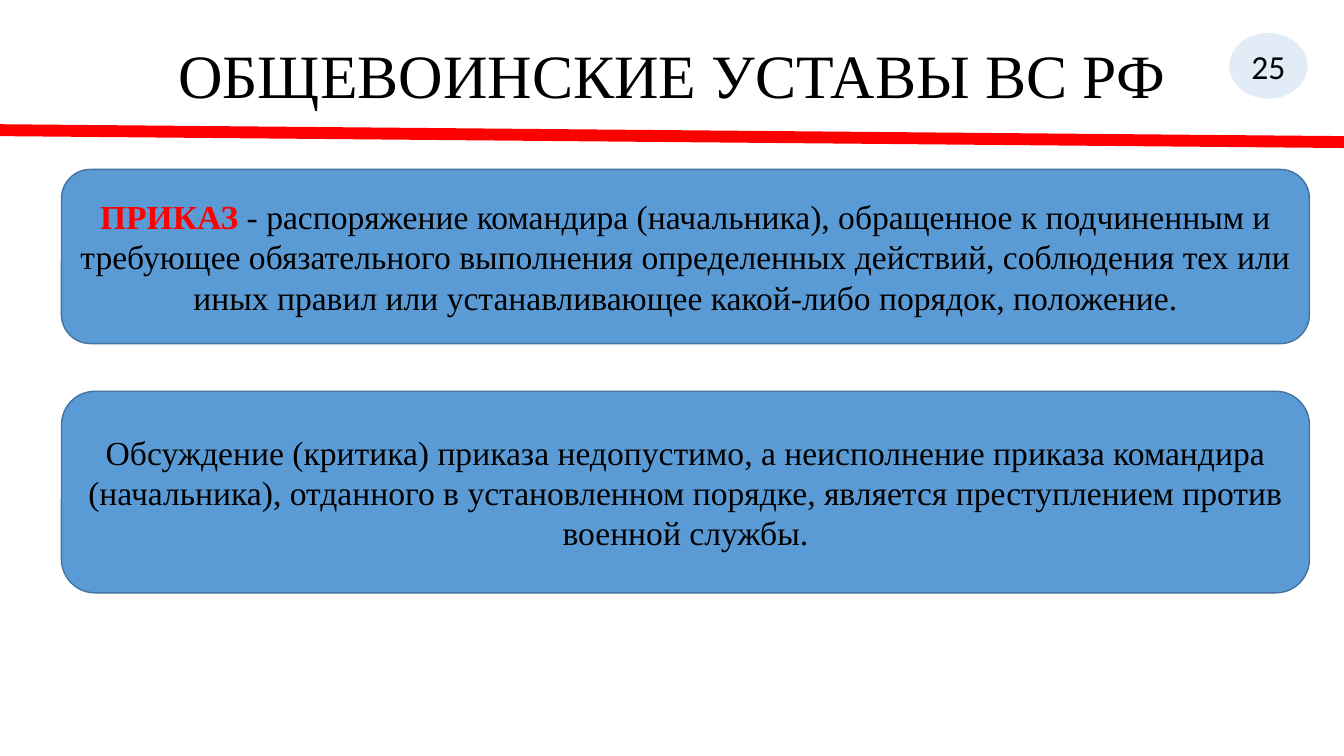
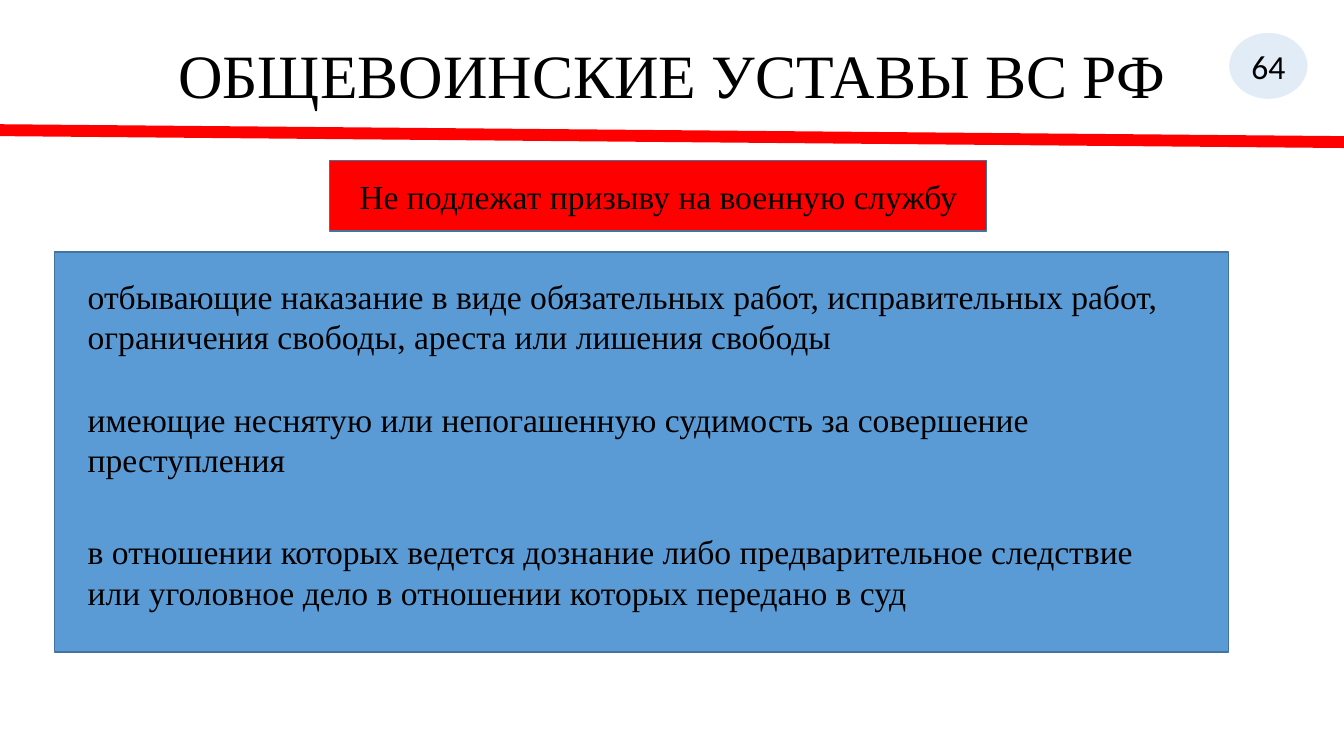
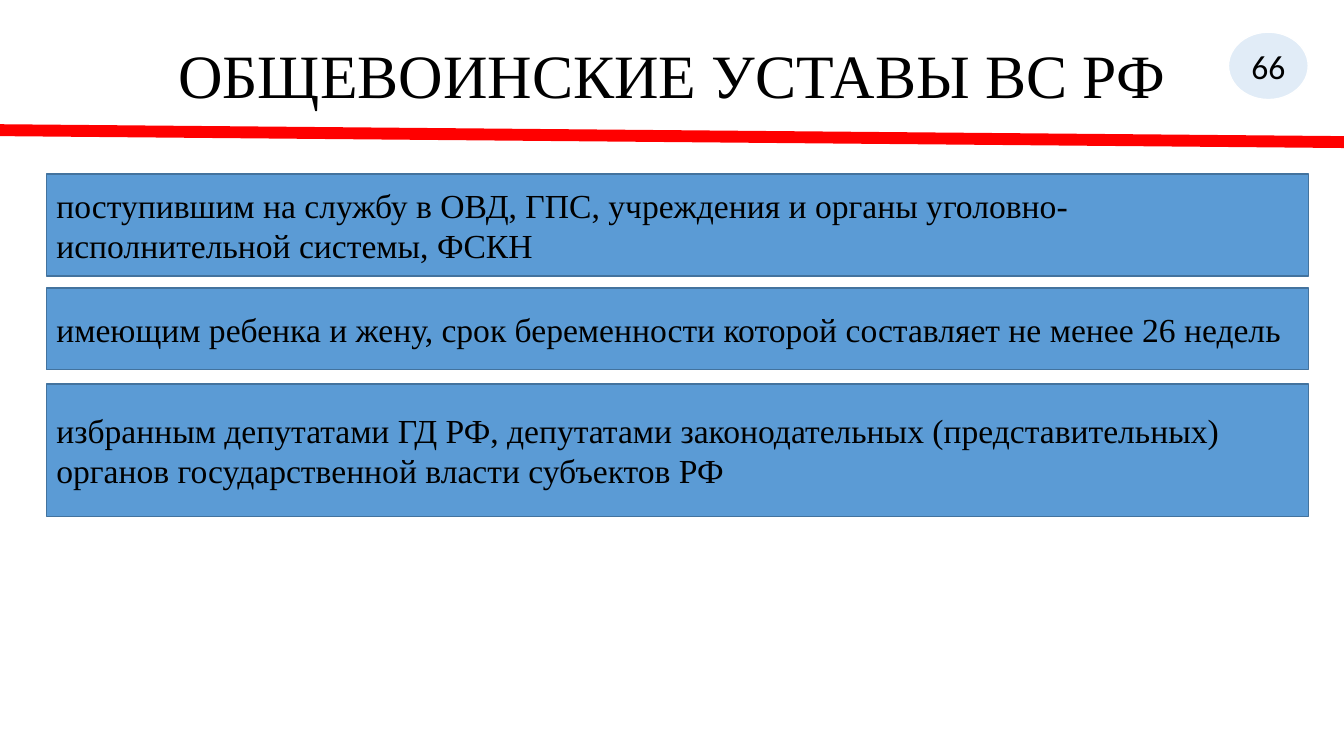
from dataclasses import dataclass

from lxml import etree
from pptx import Presentation
from pptx.dml.color import RGBColor
from pptx.enum import shapes, text
from pptx.oxml import ns
from pptx.util import Cm, Pt


@dataclass(frozen=True)
class Theme:
    blue: str = "5B9BD5"
    outline: str = "43739E"
    red: str = "FF0000"
    white: str = "FFFFFF"
    black: str = "000000"
    serif: str = "Times New Roman"
    sans: str = "Calibri"
    title_size: int = 44
    body_size: int = 24
    outline_width: float = 1
    rule_width: float = 8.5
    badge_opacity: int = 18


THEME = Theme()
SLIDE_WIDTH, SLIDE_HEIGHT = 33.87, 19.05
TITLE = "ОБЩЕВОИНСКИЕ УСТАВЫ ВС РФ"
CENTER, LEFT = text.PP_ALIGN.CENTER, text.PP_ALIGN.LEFT
MIDDLE, TOP = text.MSO_ANCHOR.MIDDLE, text.MSO_ANCHOR.TOP
RECT = shapes.MSO_SHAPE.RECTANGLE
ROUNDED = shapes.MSO_SHAPE.ROUNDED_RECTANGLE


def color(value):
    return RGBColor.from_string(value)


def write(shape, wording, align=LEFT, anchor=TOP, size=THEME.body_size,
          font=THEME.serif, lead=""):
    """Put one paragraph in a shape; lead is an opening word in bold red."""
    frame = shape.text_frame
    frame.word_wrap = True
    frame.vertical_anchor = anchor
    paragraph = frame.paragraphs[0]
    paragraph.alignment = align
    for part in filter(None, (lead, wording)):
        run = paragraph.add_run()
        run.text = part
        run.font.name = font
        run.font.size = Pt(size)
        run.font.bold = part == lead
        run.font.color.rgb = color(THEME.red if part == lead else THEME.black)
    return paragraph


def add_label(slide, box, wording, **style):
    label = slide.shapes.add_textbox(*map(Cm, box))
    return write(label, wording, **style)


def add_panel(slide, box, kind=RECT, fill=THEME.blue, outline=THEME.outline):
    panel = slide.shapes.add_shape(kind, *map(Cm, box))
    panel.shadow.inherit = False
    panel.fill.solid()
    panel.fill.fore_color.rgb = color(fill)
    panel.line.color.rgb = color(outline)
    panel.line.width = Pt(THEME.outline_width)
    return panel


def add_card(slide, box, wording, kind=RECT, fill=THEME.blue, **style):
    write(add_panel(slide, box, kind, fill), wording, anchor=MIDDLE, **style)


def add_rule(slide):
    rule = slide.shapes.add_connector(
        shapes.MSO_CONNECTOR.STRAIGHT,
        Cm(0), Cm(3.28), Cm(SLIDE_WIDTH), Cm(3.58))
    rule.line.color.rgb = color(THEME.red)
    rule.line.width = Pt(THEME.rule_width)
    etree.SubElement(rule._element.spPr, ns.qn("a:effectLst"))


def add_number_badge(slide, number):
    badge = add_panel(slide, (30.96, 0.81, 2.01, 1.7),
                      shapes.MSO_SHAPE.OVAL, outline=THEME.white)
    tint = badge._element.spPr.find(
        f"{ns.qn('a:solidFill')}/{ns.qn('a:srgbClr')}")
    etree.SubElement(tint, ns.qn("a:alpha"),
                     val=str(THEME.badge_opacity * 1000))
    write(badge, str(number), CENTER, MIDDLE, font=THEME.sans)
    badge.text_frame.word_wrap = False


def start_slide(deck, number):
    """Add a slide with the title, red rule and number badge."""
    slide = deck.slides.add_slide(deck.slide_layouts[6])
    title = add_label(slide, (2.34, 1.02, 29.2, 1.92), TITLE, align=CENTER,
                      anchor=MIDDLE, size=THEME.title_size)
    title.line_spacing = 0.9
    add_rule(slide)
    add_number_badge(slide, number)
    return slide


def build_order_slide(deck):
    slide = start_slide(deck, 25)
    cards = (
        (4.27, 4.39, "ПРИКАЗ ",
         "- распоряжение командира (начальника), обращенное к подчиненным и "
         "требующее обязательного выполнения определенных действий, "
         "соблюдения тех или иных правил или устанавливающее какой-либо "
         "порядок, положение."),
        (9.86, 5.08, "",
         "Обсуждение (критика) приказа недопустимо, а неисполнение приказа "
         "командира (начальника), отданного в установленном порядке, "
         "является преступлением против военной службы."),
    )
    for top, height, lead, wording in cards:
        add_card(slide, (1.55, top, 31.45, height), wording, ROUNDED,
                 align=CENTER, lead=lead)


def build_exclusion_slide(deck):
    slide = start_slide(deck, 64)
    add_card(slide, (8.31, 4.04, 16.56, 1.78),
             "Не подлежат призыву на военную службу",
             fill=THEME.red, align=CENTER)
    add_panel(slide, (1.37, 6.35, 29.59, 10.08))
    grounds = (
        (6.83, "отбывающие наказание в виде обязательных работ, "
               "исправительных работ, ограничения свободы, ареста или "
               "лишения свободы"),
        (9.93, "имеющие неснятую или непогашенную судимость за совершение "
               "преступления"),
        (13.26, "в отношении которых ведется дознание либо предварительное "
                "следствие или уголовное дело в отношении которых передано "
                "в суд"),
    )
    for top, wording in grounds:
        add_label(slide, (1.96, top, 27.6, 2.31), wording)


def build_deferment_slide(deck):
    slide = start_slide(deck, 66)
    categories = (
        (4.39, 2.57, "поступившим на службу в ОВД, ГПС, учреждения и органы "
                     "уголовно-исполнительной системы, ФСКН"),
        (7.26, 2.06, "имеющим ребенка и жену, срок беременности которой "
                     "составляет не менее 26 недель"),
        (9.68, 3.33, "избранным депутатами ГД РФ, депутатами законодательных "
                     "(представительных) органов государственной власти "
                     "субъектов РФ"),
    )
    for top, height, wording in categories:
        add_card(slide, (1.17, top, 31.8, height), wording)


def main():
    deck = Presentation()
    deck.slide_width, deck.slide_height = Cm(SLIDE_WIDTH), Cm(SLIDE_HEIGHT)
    build_order_slide(deck)
    build_exclusion_slide(deck)
    build_deferment_slide(deck)
    deck.save("out.pptx")


if __name__ == "__main__":
    main()
